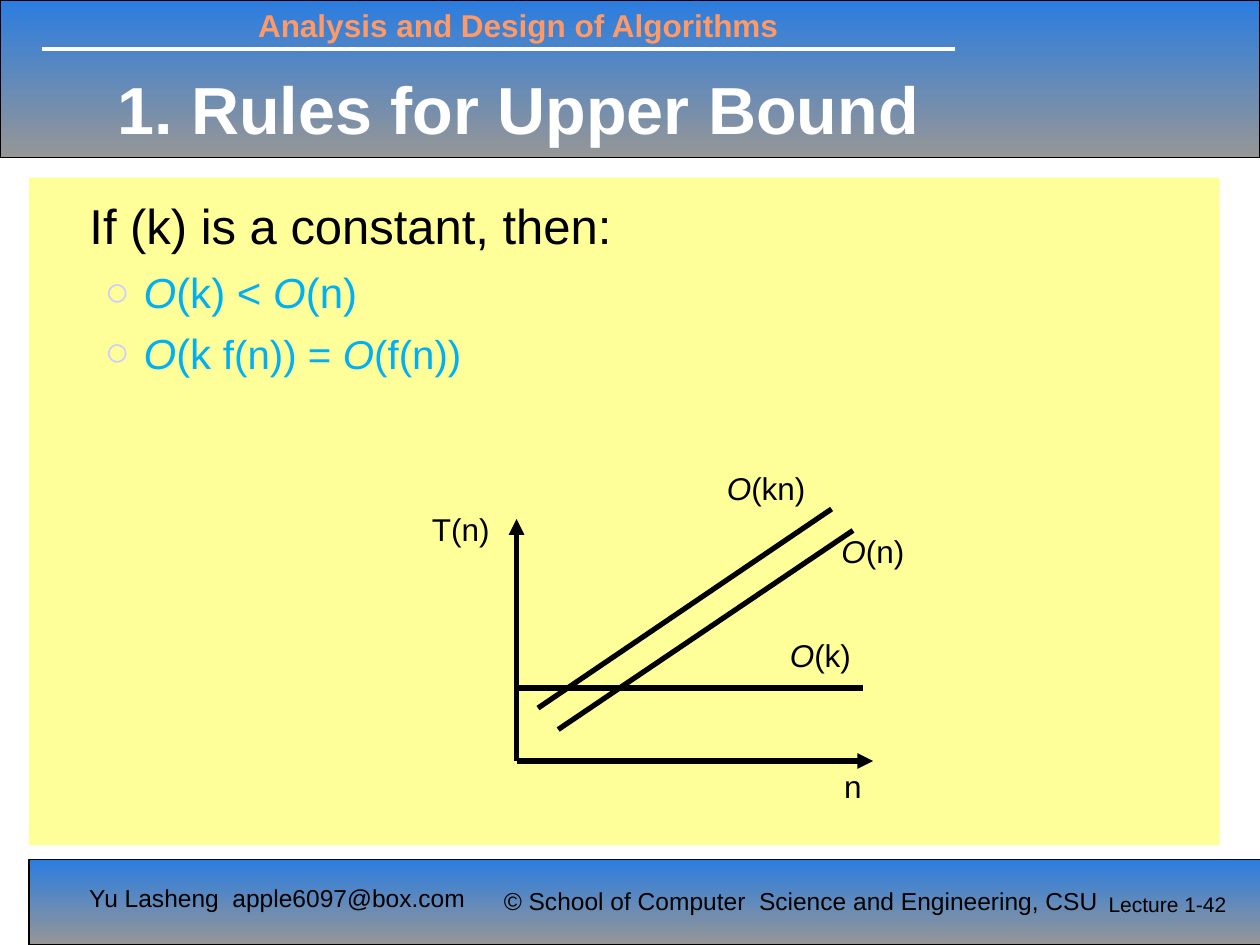
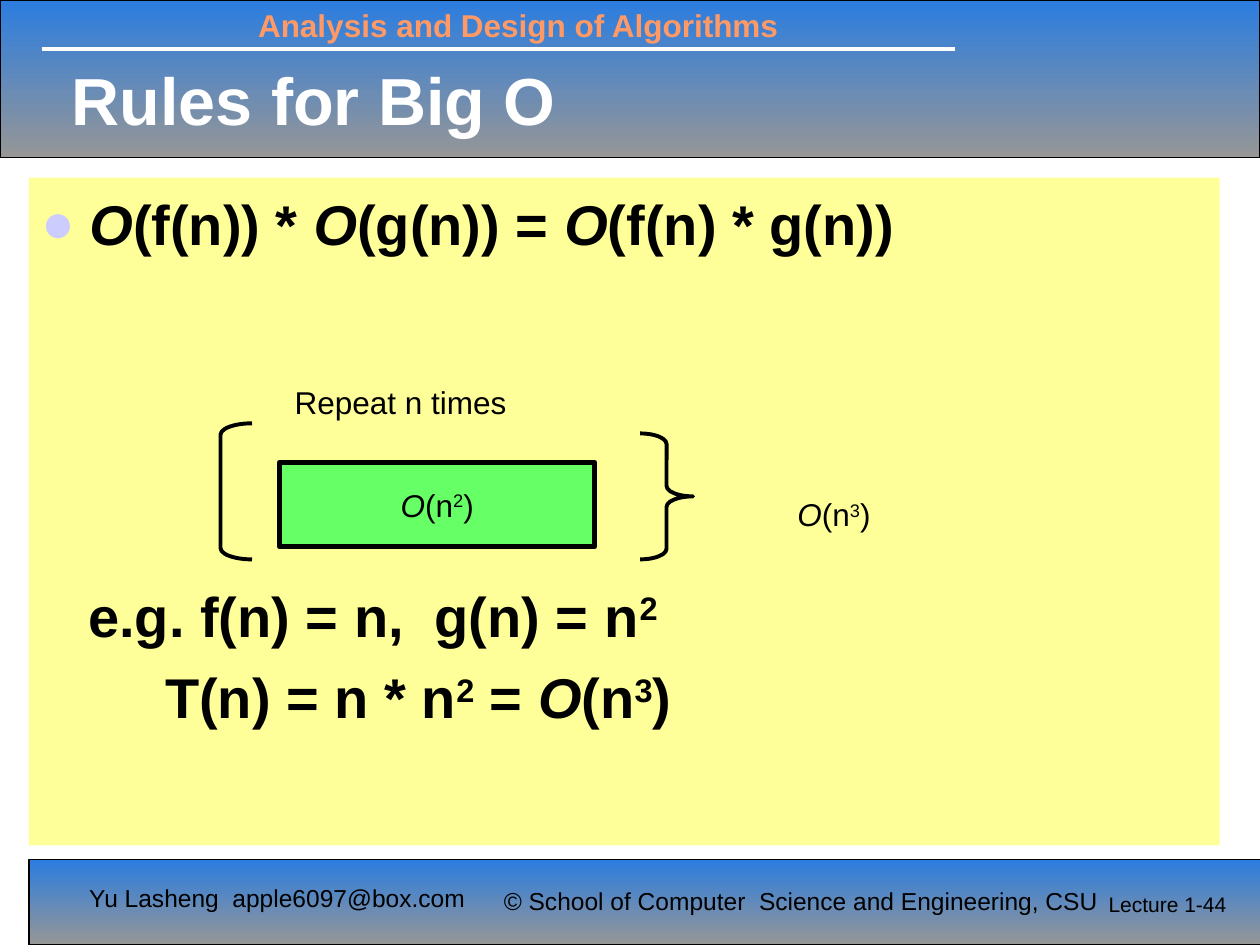
from dataclasses import dataclass

from lxml import etree
from pptx import Presentation
from pptx.dml.color import RGBColor
from pptx.enum.shapes import MSO_CONNECTOR, MSO_SHAPE
from pptx.enum.text import MSO_ANCHOR, MSO_AUTO_SIZE, PP_ALIGN
from pptx.oxml.ns import qn
from pptx.util import Inches, Pt

RECTANGLE = MSO_SHAPE.RECTANGLE
LEFT_BRACKET = MSO_SHAPE.LEFT_BRACKET
RIGHT_BRACE = MSO_SHAPE.RIGHT_BRACE
STRAIGHT = MSO_CONNECTOR.STRAIGHT
LEFT, CENTER = PP_ALIGN.LEFT, PP_ALIGN.CENTER
TOP, MIDDLE = MSO_ANCHOR.TOP, MSO_ANCHOR.MIDDLE
NO_AUTOFIT = MSO_AUTO_SIZE.NONE

FONT = "Arial"
BLACK, WHITE = "000000", "FFFFFF"
BAND_TOP, BAND_BOTTOM = "2B7DE0", "969696"
HEADER_ORANGE = "FF9966"
BODY_YELLOW = "FFFF99"
BULLET_LILAC = "CCCCFF"
RULE_BLUE = "00B0F0"
LOOP_GREEN = "66FF66"
LAYOUT_FIRST_ID = 100


@dataclass(frozen=True)
class Box:
    left: float
    top: float
    width: float
    height: float

    def lengths(self):
        return [Inches(n) for n in (self.left, self.top, self.width, self.height)]


@dataclass(frozen=True)
class Style:
    size: float = 18
    color: str = BLACK
    bold: bool = False


@dataclass(frozen=True)
class Piece:
    text: str
    italic: bool = False
    raised: bool = False
    size: float | None = None


@dataclass(frozen=True)
class BodyLine:
    pieces: list[Piece]
    style: Style
    left: float
    hanging: float = 0
    bullet: str = ""
    space_before: float = 0
    level: int = 0


@dataclass(frozen=True)
class Label:
    pieces: list[Piece]
    box: Box
    style: Style = Style()


@dataclass(frozen=True)
class Line:
    start: tuple[float, float]
    end: tuple[float, float]
    arrow: bool = False
    color: str = BLACK
    width: float = 3


BIG_O = Piece("O", italic=True)
SQUARED = Piece("2", raised=True)
CUBED = Piece("3", raised=True)

HEADER_BAND = Box(0, 0, 10, 1.25)
FOOTER_BAND = Box(0.23, 6.82, 10, 0.68)
BODY = Box(0.23, 1.41, 9.45, 5.3)
HEADER_RULE = Line((0.33, 0.39), (7.58, 0.39), color=WHITE, width=2.25)
SHARED_LABELS = [
    Label([Piece("Analysis and Design of Algorithms")], Box(1.95, 0, 5, 0.4),
          Style(18, HEADER_ORANGE, bold=True)),
    Label([Piece("Yu Lasheng  apple6097@box.com")], Box(0.61, 6.96, 3.21, 0.57), Style(14)),
    Label([Piece("© School of Computer  Science and Engineering, CSU")],
          Box(3.9, 6.98, 5.28, 0.34), Style(14)),
]
TITLE_STYLE = Style(38, WHITE, bold=True)
INTRO_STYLE = Style(28)
RULE_STYLE = Style(24, RULE_BLUE)
FORMULA_STYLE = Style(32, bold=True)

UPPER_BOUND_LINES = [
    BodyLine([Piece("If (k) is a constant, then:")], INTRO_STYLE, 0.38),
    BodyLine([BIG_O, Piece("(k) < "), BIG_O, Piece("(n)")],
             RULE_STYLE, 0.81, 0.31, "○", 7, level=1),
    BodyLine([BIG_O, Piece("(k "), Piece("f(n)) = ", size=23),
              Piece("O", italic=True, size=23), Piece("(f(n))", size=23)],
             RULE_STYLE, 0.81, 0.31, "○", 6, level=1),
]
BIG_O_LINES = [
    BodyLine([BIG_O, Piece("(f(n)) * "), BIG_O, Piece("(g(n)) = "), BIG_O,
              Piece("(f(n) * g(n))")], FORMULA_STYLE, 0.38, 0.38, "●"),
    BodyLine([Piece("e.g. f(n) = n,  g(n) = n"), SQUARED],
             FORMULA_STYLE, 0.37, space_before=186),
    BodyLine([Piece("T(n) = n * n"), SQUARED, Piece(" = "), BIG_O, Piece("(n"), CUBED,
              Piece(")")], FORMULA_STYLE, 0.98, space_before=8),
]

ORIGIN = (4.1, 6.04)
GROWTH_LINES = [
    Line(ORIGIN, (4.1, 4.12), arrow=True),
    Line(ORIGIN, (6.93, 6.04), arrow=True),
    Line((4.1, 5.46), (6.85, 5.46)),
    Line((4.27, 5.62), (6.6, 4.04)),
    Line((4.43, 5.79), (6.77, 4.21)),
]
GROWTH_LABELS = [
    Label([Piece("T(n)")], Box(3.33, 4, 0.83, 0.5)),
    Label([Piece("n")], Box(6.6, 6.04, 0.42, 0.5)),
    Label([BIG_O, Piece("(n)")], Box(6.58, 4.17, 0.89, 0.5)),
    Label([BIG_O, Piece("(k)")], Box(6.17, 5, 0.87, 0.5)),
    Label([BIG_O, Piece("(kn)")], Box(5.67, 3.67, 1.07, 0.5)),
]
LOOP_LABELS = [
    Label([Piece("Repeat n times")], Box(2.24, 2.99, 2.57, 0.5)),
    Label([BIG_O, Piece("(n"), CUBED, Piece(")")], Box(6.23, 3.88, 1.01, 0.5)),
]


def rgb(color: str) -> RGBColor:
    return RGBColor.from_string(color)


def add_pieces(paragraph, pieces: list[Piece], style: Style) -> None:
    for piece in pieces:
        run = paragraph.add_run()
        run.text = piece.text
        font = run.font
        font.name = FONT
        font.size = Pt(piece.size or style.size)
        font.bold = style.bold
        font.italic = piece.italic
        font.color.rgb = rgb(style.color)
        if piece.raised:
            run._r.get_or_add_rPr().set("baseline", "30000")


def add_label(slide, label: Label):
    text_box = slide.shapes.add_textbox(*label.box.lengths())
    text_box.text_frame.word_wrap = False
    add_pieces(text_box.text_frame.paragraphs[0], label.pieces, label.style)
    return text_box


def add_line(slide, line: Line):
    ends = [Inches(n) for n in (*line.start, *line.end)]
    connector = slide.shapes.add_connector(STRAIGHT, *ends)
    connector.line.color.rgb = rgb(line.color)
    connector.line.width = Pt(line.width)
    if line.arrow:
        etree.SubElement(connector.line._get_or_add_ln(), qn("a:tailEnd"), type="triangle")
    etree.SubElement(connector.element.spPr, qn("a:effectLst"))
    return connector


def add_outline(slide, preset, box: Box, width: float, adjustments=()):
    """Add an unfilled preset shape with a black line."""
    shape = slide.shapes.add_shape(preset, *box.lengths())
    shape.shadow.inherit = False
    shape.fill.background()
    shape.line.color.rgb = rgb(BLACK)
    shape.line.width = Pt(width)
    for index, value in enumerate(adjustments):
        shape.adjustments[index] = value
    return shape


def add_band(slide, box: Box):
    band = add_outline(slide, RECTANGLE, box, 0.75)
    band.fill.gradient()
    band.fill.gradient_angle = 270
    for stop, color in zip(band.fill.gradient_stops, (BAND_TOP, BAND_BOTTOM)):
        stop.color.rgb = rgb(color)
    return band


def move_frame_to_layout(slide) -> None:
    """Draw the shared bands, rule and labels, and hand them to the slide's layout."""
    frame = [add_band(slide, box) for box in (HEADER_BAND, FOOTER_BAND)]
    frame.append(add_line(slide, HEADER_RULE))
    frame += [add_label(slide, label) for label in SHARED_LABELS]
    for shape_id, shape in enumerate(frame, LAYOUT_FIRST_ID):
        shape.element.xpath(".//p:cNvPr")[0].set("id", str(shape_id))
        slide.slide_layout.shapes.element.append(shape.element)


def place(placeholder, box: Box, anchor):
    """Move a placeholder and return its text frame."""
    placeholder.left, placeholder.top, placeholder.width, placeholder.height = box.lengths()
    frame = placeholder.text_frame
    frame.auto_size = NO_AUTOFIT
    frame.word_wrap = True
    frame.vertical_anchor = anchor
    return frame


def set_bullet(paragraph, line: BodyLine) -> None:
    properties = paragraph._p.get_or_add_pPr()
    properties.set("marL", str(Inches(line.left)))
    properties.set("indent", str(-Inches(line.hanging)))
    if not line.bullet:
        etree.SubElement(properties, qn("a:buNone"))
        return
    bullet_color = etree.SubElement(properties, qn("a:buClr"))
    etree.SubElement(bullet_color, qn("a:srgbClr"), val=BULLET_LILAC)
    etree.SubElement(properties, qn("a:buFont"), typeface=FONT)
    etree.SubElement(properties, qn("a:buChar"), char=line.bullet)


def fill_body(placeholder, lines: list[BodyLine], top_margin: float) -> None:
    placeholder.fill.solid()
    placeholder.fill.fore_color.rgb = rgb(BODY_YELLOW)
    frame = place(placeholder, BODY, TOP)
    frame.margin_top = Inches(top_margin)
    for index, line in enumerate(lines):
        paragraph = frame.add_paragraph() if index else frame.paragraphs[0]
        paragraph.level = line.level
        paragraph.alignment = LEFT
        paragraph.space_before = Pt(line.space_before)
        set_bullet(paragraph, line)
        add_pieces(paragraph, line.pieces, line.style)


def add_lecture_slide(presentation, title: str, title_box: Box, lines: list[BodyLine],
                      top_margin: float, number: int):
    slide = presentation.slides.add_slide(presentation.slide_layouts[1])
    paragraph = place(slide.shapes.title, title_box, MIDDLE).paragraphs[0]
    paragraph.alignment = LEFT
    add_pieces(paragraph, [Piece(title)], TITLE_STYLE)
    fill_body(slide.placeholders[1], lines, top_margin)
    add_label(slide, Label([Piece(f"Lecture 1-{number}")], Box(8.7, 7.03, 1.18, 0.5),
                           Style(12)))
    return slide


def draw_growth_chart(slide) -> None:
    for line in GROWTH_LINES:
        add_line(slide, line)
    for label in GROWTH_LABELS:
        add_label(slide, label)


def draw_loop(slide) -> None:
    loop_body = add_outline(slide, RECTANGLE, Box(2.22, 3.67, 2.5, 0.67), 3)
    loop_body.fill.solid()
    loop_body.fill.fore_color.rgb = rgb(LOOP_GREEN)
    loop_body.text_frame.vertical_anchor = MIDDLE
    paragraph = loop_body.text_frame.paragraphs[0]
    paragraph.alignment = CENTER
    add_pieces(paragraph, [BIG_O, Piece("(n"), SQUARED, Piece(")")], Style())
    add_outline(slide, LEFT_BRACKET, Box(1.75, 3.36, 0.25, 1.08), 2.25, [0.36])
    add_outline(slide, RIGHT_BRACE, Box(5.08, 3.44, 0.42, 1), 2.25, [0.2, 0.5])
    for label in LOOP_LABELS:
        add_label(slide, label)


def main() -> None:
    presentation = Presentation()
    presentation.slide_width, presentation.slide_height = Inches(10), Inches(7.5)
    upper_bound = add_lecture_slide(presentation, "1. Rules for Upper Bound",
                                    Box(0.83, 0.44, 8.5, 0.83), UPPER_BOUND_LINES, 0.14, 42)
    move_frame_to_layout(upper_bound)
    draw_growth_chart(upper_bound)
    big_o = add_lecture_slide(presentation, "Rules for Big O",
                              Box(0.47, 0.39, 7.81, 0.79), BIG_O_LINES, 0.09, 44)
    draw_loop(big_o)
    presentation.save("out.pptx")


if __name__ == "__main__":
    main()
